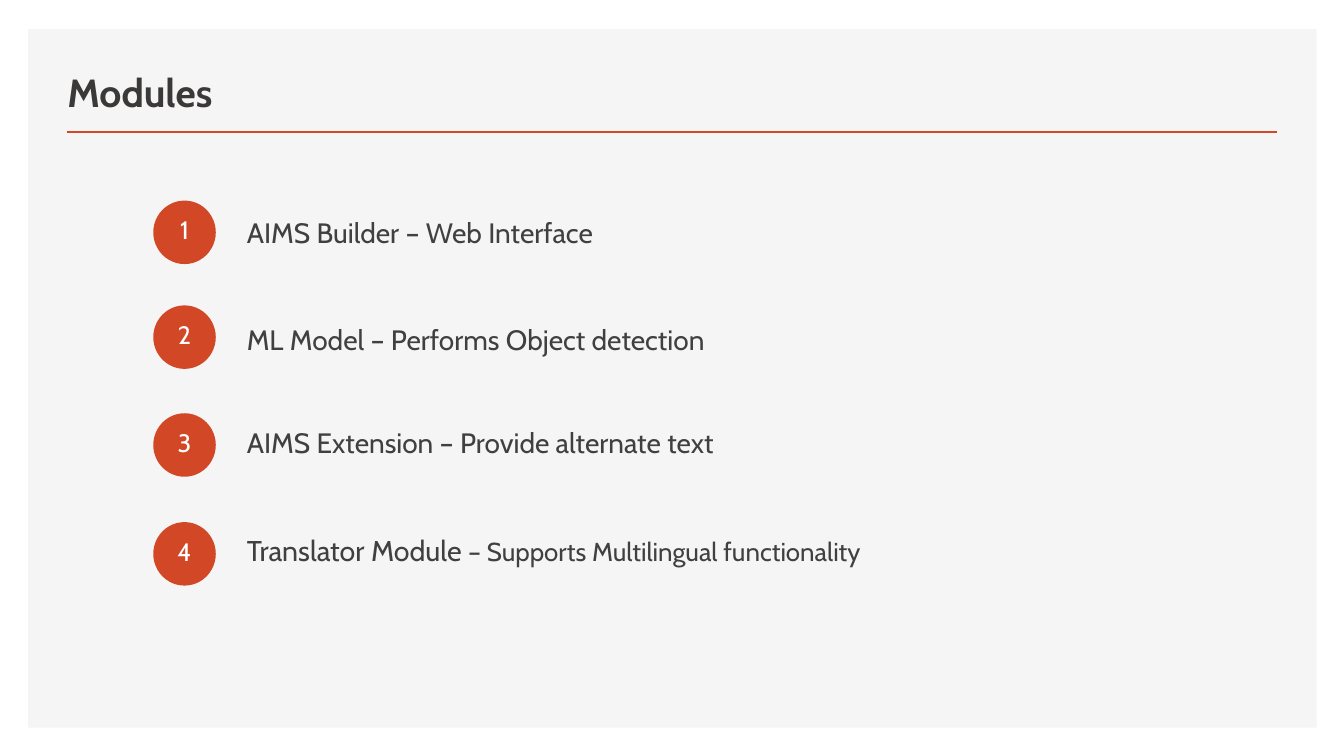
from pptx import Presentation
from pptx.dml.color import RGBColor
from pptx.enum.shapes import MSO_CONNECTOR, MSO_SHAPE
from pptx.enum.text import MSO_ANCHOR, PP_ALIGN
from pptx.oxml.ns import qn
from pptx.util import Inches, Pt
from lxml import etree

RECTANGLE, OVAL = MSO_SHAPE.RECTANGLE, MSO_SHAPE.OVAL
STRAIGHT = MSO_CONNECTOR.STRAIGHT
TOP, BOTTOM = MSO_ANCHOR.TOP, MSO_ANCHOR.BOTTOM
LEFT, CENTER = PP_ALIGN.LEFT, PP_ALIGN.CENTER

FONT = "Cabin"
COLORS = {"panel": "F5F5F5", "accent": "D24726", "title": "3B3838",
          "body": "404040", "number": "FFFFFF"}

TITLE = "Modules"
# Circle top, label top, label spans as (text, size)
MODULES = [
    (1.99, 2.17, [("AIMS Builder – Web Interface", 20)]),
    (3.03, 3.23, [("ML Model – Performs Object detection", 20)]),
    (4.10, 4.26, [("AIMS Extension – Provide alternate text", 20)]),
    (5.18, 5.33, [("Translator Module ", 20.4),
                  ("– Supports Multilingual functionality", 18.5)]),
]
CIRCLE_LEFT, CIRCLE_WIDTH, CIRCLE_HEIGHT = 1.52, 0.62, 0.63
NUMBER_WIDTH, NUMBER_HEIGHT, NUMBER_DROP = 0.84, 0.4, 0.09
LABEL_LEFT, LABEL_WIDTH, LABEL_HEIGHT = 2.35, 6.84, 0.59
LABEL_FORMAT = {"line_spacing": Pt(18), "space_before": Pt(10),
                "space_after": Pt(20)}


def color(name):
    return RGBColor.from_string(COLORS[name])


def add_filled(page, kind, fill, *bounds):
    shape = page.shapes.add_shape(kind, *map(Inches, bounds))
    shape.shadow.inherit = False
    shape.fill.solid()
    shape.fill.fore_color.rgb = color(fill)
    shape.line.fill.background()


def add_text(page, spans, ink, bounds, align=LEFT, anchor=TOP, bold=False,
             para_format=None):
    """Add a one-paragraph text box from (text, size) spans."""
    box = page.shapes.add_textbox(*map(Inches, bounds))
    frame = box.text_frame
    frame.word_wrap = True
    frame.vertical_anchor = anchor
    para = frame.paragraphs[0]
    para.alignment = align
    for name, value in (para_format or {}).items():
        setattr(para, name, value)
    for text, size in spans:
        span = para.add_run()
        span.text = text
        span.font.color.rgb = color(ink)
        for name, value in {"name": FONT, "size": Pt(size), "bold": bold}.items():
            setattr(span.font, name, value)


def add_rule(page, left, right, top):
    rule = page.shapes.add_connector(
        STRAIGHT, Inches(left), Inches(top), Inches(right), Inches(top))
    rule.line.color.rgb = color("accent")
    rule.line.width = Pt(2)
    etree.SubElement(rule.element.spPr, qn("a:effectLst"))


def main():
    deck = Presentation()
    deck.slide_width, deck.slide_height = Inches(13.33), Inches(7.5)
    page = deck.slides.add_slide(deck.slide_layouts[6])

    add_filled(page, RECTANGLE, "panel", 0.28, 0.29, 12.78, 6.93)
    add_rule(page, 0.66, 12.67, 1.31)
    add_text(page, [(TITLE, 28)], "title", (0.57, 0.49, 7.52, 0.7),
             anchor=BOTTOM, bold=True)

    number_left = CIRCLE_LEFT + (CIRCLE_WIDTH - NUMBER_WIDTH) / 2
    for number, (circle_top, label_top, spans) in enumerate(MODULES, 1):
        add_filled(page, OVAL, "accent", CIRCLE_LEFT, circle_top,
                   CIRCLE_WIDTH, CIRCLE_HEIGHT)
        add_text(page, [(str(number), 18)], "number",
                 (number_left, circle_top + NUMBER_DROP,
                  NUMBER_WIDTH, NUMBER_HEIGHT), align=CENTER)
        add_text(page, spans, "body",
                 (LABEL_LEFT, label_top, LABEL_WIDTH, LABEL_HEIGHT),
                 para_format=LABEL_FORMAT)

    deck.save("out.pptx")


if __name__ == "__main__":
    main()
